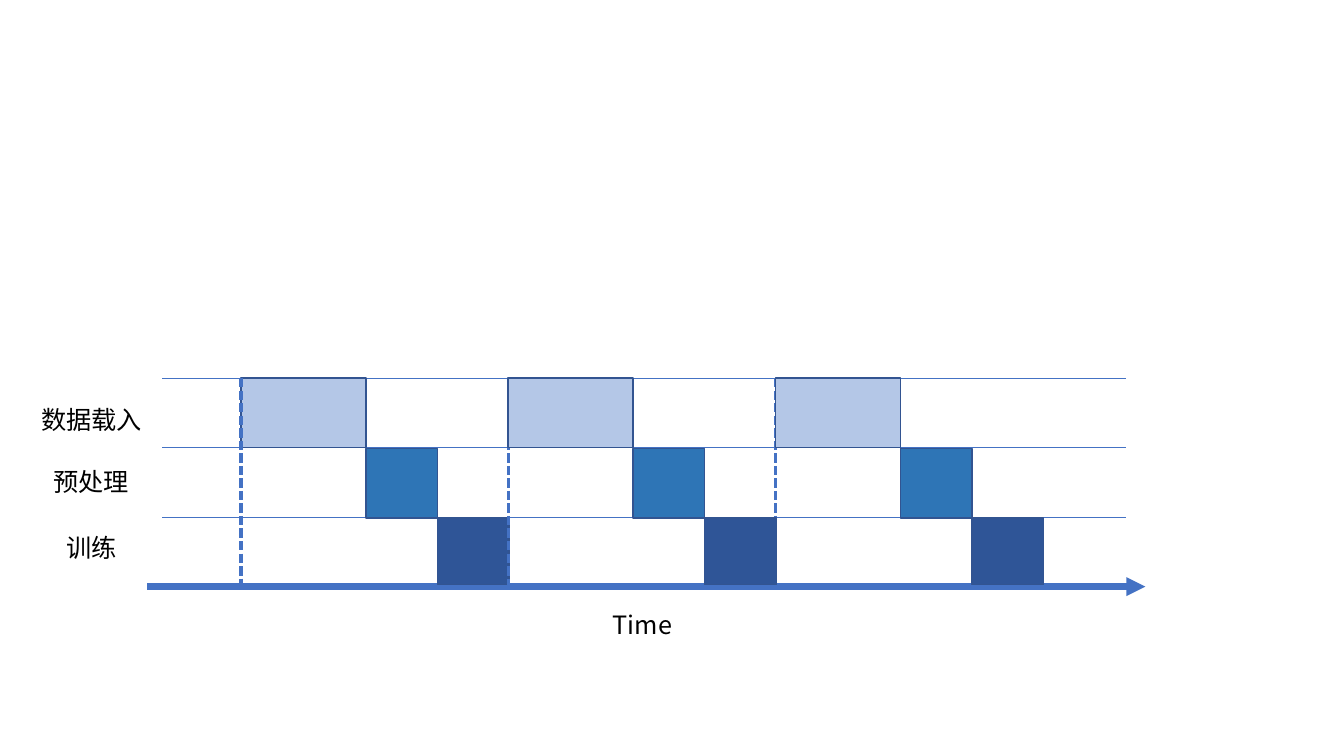
from dataclasses import dataclass

from lxml import etree
from pptx import Presentation
from pptx.dml.color import RGBColor
from pptx.enum.dml import MSO_LINE
from pptx.enum.shapes import MSO_CONNECTOR, MSO_SHAPE
from pptx.oxml.ns import qn
from pptx.util import Inches, Pt

STRAIGHT = MSO_CONNECTOR.STRAIGHT
RECT = MSO_SHAPE.RECTANGLE
DASH = MSO_LINE.SQUARE_DOT


@dataclass(frozen=True)
class Theme:
    font: str = "Noto Sans CJK SC"
    size: int = 18
    ink: str = "000000"
    axis: str = "4472C4"
    edge: str = "325491"
    load: str = "B4C7E7"
    prep: str = "2E75B6"
    train: str = "2F5597"


theme = Theme()
deck = Presentation()
deck.slide_width = Inches(13.33)
deck.slide_height = Inches(7.5)
slide = deck.slides.add_slide(deck.slide_layouts[6])
shapes = slide.shapes


def add_text(text, *, left, top, width, height=0.4, size=theme.size, color=theme.ink):
    box = shapes.add_textbox(Inches(left), Inches(top), Inches(width), Inches(height))
    box.text_frame.word_wrap = True
    run = box.text_frame.paragraphs[0].add_run()
    run.text = text
    run.font.name = theme.font
    run.font.size = Pt(size)
    run.font.color.rgb = RGBColor.from_string(color)
    etree.SubElement(run.font._element, qn("a:ea"), typeface=theme.font)


def add_line(x1, y1, x2, y2, weight):
    line = shapes.add_connector(STRAIGHT, Inches(x1), Inches(y1), Inches(x2), Inches(y2))
    line.line.color.rgb = RGBColor.from_string(theme.axis)
    line.line.width = Pt(weight)
    etree.SubElement(line._element.spPr, qn("a:effectLst"))
    return line


top, base = 3.75, 5.82
start, cycle, count = 2.39, 2.65, 3

axis = add_line(1.46, base, 11.36, base, 4.5)
etree.SubElement(axis.line._get_or_add_ln(), qn("a:tailEnd"), type="triangle")
for row in range(3):
    y = top + row * 0.69
    add_line(1.61, y, 11.17, y, 0.5)

add_text("Time", left=5.98, top=6, width=0.82)
labels = [
    ("数据载入", 0.31, 3.96, 1.28),
    ("预处理", 0.43, 4.58, 1.03),
    ("训练", 0.56, 5.23, 1.03),
]
for text, x, y, width in labels:
    add_text(text, left=x, top=y, width=width)

stages = [
    (0, 3.75, 1.24, 0.69, theme.load),
    (1.24, 4.45, 0.71, 0.69, theme.prep),
    (1.95, 5.14, 0.71, 0.66, theme.train),
]
for step in range(count):
    for shift, y, width, height, color in stages:
        x = start + step * cycle + shift
        block = shapes.add_shape(RECT, Inches(x), Inches(y), Inches(width), Inches(height))
        block.shadow.inherit = False
        block.fill.solid()
        block.fill.fore_color.rgb = RGBColor.from_string(color)
        block.line.color.rgb = RGBColor.from_string(theme.edge)
        block.line.width = Pt(1)
    if step == 0:
        for mark in range(count):
            x = start + mark * cycle
            add_line(x, top, x, base, 2.25).line.dash_style = DASH

deck.save("out.pptx")
